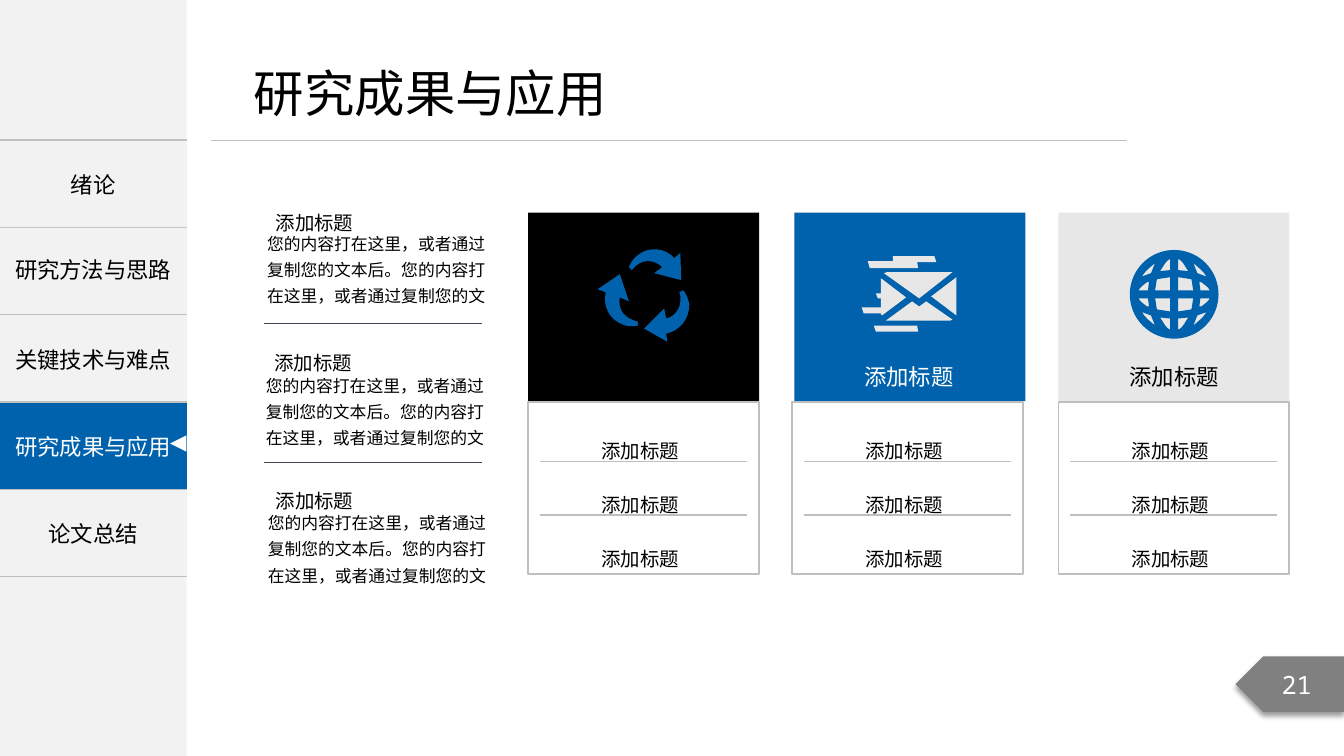
from math import cos, pi, sin

from lxml.etree import SubElement
from pptx import Presentation
from pptx.dml.color import RGBColor
from pptx.enum.shapes import MSO_CONNECTOR as LINK, MSO_SHAPE as SHAPE
from pptx.enum.text import MSO_ANCHOR as ANCHOR, MSO_AUTO_SIZE as FIT, PP_ALIGN as ALIGN
from pptx.oxml import parse_xml
from pptx.oxml.ns import nsdecls, qn
from pptx.util import Cm, Pt

BLUE, GREY, PALE, RULE = "0062AC", "F2F2F2", "E7E7E7", "BFBFBF"
BLACK, WHITE, DARK = "000000", "FFFFFF", "414455"
SANS = "Noto Sans CJK SC"
LABEL = "添加标题"
BODY = "您的内容打在这里，或者通过复制您的文本后。您的内容打在这里，或者通过复制您的文"
color = RGBColor.from_string

deck = Presentation()
deck.slide_width, deck.slide_height = Cm(33.87), Cm(19.05)
page = deck.slides.add_slide(deck.slide_layouts[6])
shapes = page.shapes


def write(frame, text, size, ink=BLACK, align=ALIGN.CENTER, face=SANS, lowered=False, spacing=None):
    para = frame.paragraphs[0]
    para.alignment = align
    para.line_spacing = spacing
    span = para.add_run()
    span.text = text
    span.font.color.rgb = color(ink)
    for name, value in {"size": Pt(size), "name": face, "bold": False}.items():
        setattr(span.font, name, value)
    props = span.font._element
    SubElement(props, qn("a:ea"), typeface=face)
    if lowered:
        props.set("baseline", "-3000")


def draw_icon(contours, ink):
    """Contours in hundredths of an inch: (x, y) is a line, six numbers are a Bezier curve."""
    unit, builder = Cm(2.54) / 100, None
    for contour in contours:
        points = [contour[0]]
        for step in contour[1:]:
            if len(step) == 2:
                points.append(step)
                continue
            nodes = [points[-1], step[:2], step[2:4], step[4:]]
            for t in [i / 8 for i in range(1, 9)]:
                weights = (1 - t) ** 3, 3 * t * (1 - t) ** 2, 3 * t * t * (1 - t), t ** 3
                points.append(tuple(sum(w * n[axis] for w, n in zip(weights, nodes))
                                    for axis in (0, 1)))
        points = [(round(x * unit), round(y * unit)) for x, y in points]
        if builder is None:
            builder = shapes.build_freeform(*points[0])
        else:
            builder.move_to(*points[0])
        builder.add_line_segments(points[1:], close=True)
    icon = builder.convert_to_shape()
    icon.shadow.inherit = False
    icon.fill.solid()
    icon.fill.fore_color.rgb = color(ink)
    icon.line.fill.background()


# Sidebar background
sidebar = shapes.add_shape(SHAPE.RECTANGLE, 0, 0, Cm(4.7), Cm(19.05))

# Chapter table
chapters = ["绪论", "", "关键技术与难点", "研究成果与应用", "论文总结"]
menu = shapes.add_table(5, 1, 0, Cm(3.53), Cm(4.7), Cm(11)).table
menu.first_row = menu.horz_banding = False
for row, chapter in enumerate(chapters):
    cell = menu.cell(row, 0)
    active = row == 3
    cell.vertical_anchor = ANCHOR.MIDDLE
    for side in "LRTB":
        edge = SubElement(cell._tc.get_or_add_tcPr(), qn(f"a:ln{side}"), w=str(Pt(1)))
        if side in "LR":
            SubElement(edge, qn("a:noFill"))
        else:
            SubElement(SubElement(edge, qn("a:solidFill")), qn("a:srgbClr"), val=RULE)
    cell.fill.solid()
    cell.fill.fore_color.rgb = color(BLUE if active else GREY)
    if chapter:
        write(cell.text_frame, chapter, 16, WHITE if active else BLACK)

# Filled shapes: second chapter, page number, active marker, card heads
chapter_two = shapes.add_shape(SHAPE.RECTANGLE, 0, Cm(5.74), Cm(4.7), Cm(2.13))
write(chapter_two.text_frame, "研究方法与思路", 16)
page_tag = shapes.add_shape(SHAPE.PENTAGON, Cm(31.14), Cm(16.54), Cm(2.73), Cm(1.4))
page_tag._element.spPr.find(qn("a:xfrm")).set("flipH", "1")
write(page_tag.text_frame, "21", 18, WHITE, face="Noto Sans Mono")
marker = shapes.add_shape(SHAPE.ISOSCELES_TRIANGLE, Cm(4.29), Cm(10.97), Cm(0.41), Cm(0.41))
marker.rotation = 270
heads = [shapes.add_shape(SHAPE.RECTANGLE, Cm(left), Cm(5.36), Cm(5.82), Cm(4.75))
         for left in (13.31, 20.02, 26.67)]
fills = [GREY, GREY, "808080", WHITE, BLACK, BLUE, PALE]
for shape, fill in zip([sidebar, chapter_two, page_tag, marker, *heads], fills):
    shape.shadow.inherit = False
    shape.fill.solid()
    shape.fill.fore_color.rgb = color(fill)
    shape.line.fill.background()
    shape.text_frame.vertical_anchor = ANCHOR.MIDDLE
page_tag._element.spPr.find(qn("a:effectLst")).append(parse_xml(
    f'<a:outerShdw {nsdecls("a")} blurRad="{Pt(4)}" dist="{Pt(3)}" dir="5400000">'
    '<a:srgbClr val="000000"><a:alpha val="40000"/></a:srgbClr></a:outerShdw>'))

# Rules: left, right, y, colour, weight; texts: left, top, width, height, text, format
rules = [(5.31, 28.4, 3.53, RULE, 0.5)]
rules += [(6.65, 12.14, y, DARK, 1) for y in (8.15, 11.66)]
small = dict(size=24, lowered=True)
texts = [(6.15, 1.45, 9.5, 1.8, "研究成果与应用", dict(size=36, align=ALIGN.LEFT))]

# Left column of notes
for title_x, title_y, body_x, body_y in [(6.38, 4.8, 6.48, 5.61), (6.35, 8.33, 6.45, 9.19),
                                         (6.38, 11.81, 6.5, 12.65)]:
    texts.append((title_x, title_y, 3.1, 0.94, LABEL, small))
    texts.append((body_x, body_y, 6.1, 2.26, BODY, dict(size=12, align=ALIGN.LEFT, spacing=1.3)))

# Cards: head title, outlined list of three labels
head_formats = [small, dict(size=16, ink=WHITE), dict(size=16)]
for left, title_x, head_format in zip((13.31, 19.96, 26.67), (14.68, 21.36, 28.04), head_formats):
    texts.append((title_x, 9.02, 3.1, 0.94, LABEL, head_format))
    frame = shapes.add_shape(SHAPE.RECTANGLE, Cm(left), Cm(10.13), Cm(5.82), Cm(4.34))
    frame.shadow.inherit = False
    frame.fill.background()
    frame.line.color.rgb = color(RULE)
    frame.line.width = Pt(1)
    for row in range(3):
        texts.append((left + 1.28, 10.57 + 1.35 * row, 3.1, 0.94, LABEL, small))
        if row < 2:
            rules.append((left + 0.3, left + 5.51, 11.63 + 1.35 * row, RULE, 1))

for start, end, y, ink, weight in rules:
    rule = shapes.add_connector(LINK.STRAIGHT, Cm(start), Cm(y), Cm(end), Cm(y))
    rule.line.color.rgb = color(ink)
    rule.line.width = Pt(weight)
    SubElement(rule._element.spPr, qn("a:effectLst"))

for left, top, width, height, text, style in texts:
    box = shapes.add_textbox(Cm(left), Cm(top), Cm(width), Cm(height))
    box.text_frame.word_wrap = style["size"] != 36
    box.text_frame.auto_size = FIT.SHAPE_TO_FIT_TEXT
    write(box.text_frame, text, **style)

# Recycling arrows
draw_icon([
    [(662, 339), (639, 326), (659, 306), (661, 316), (670, 314, 676, 305, 675, 296),
     (675, 294, 675, 291, 674, 290), (678, 288), (681, 292, 683, 297, 684, 302),
     (684, 316, 675, 328, 661, 331)],
    [(593, 287), (615, 272), (624, 299), (615, 295), (613, 305, 618, 314, 627, 317),
     (629, 318, 631, 319, 633, 319), (633, 323), (628, 324, 622, 324, 618, 322),
     (604, 317, 598, 303, 601, 290)],
    [(675, 251), (669, 256), (660, 246, 644, 244, 633, 253), (629, 256, 626, 260, 624, 265),
     (627, 268), (629, 266, 630, 264, 632, 263), (639, 257, 650, 258, 657, 265),
     (649, 271), (676, 278)],
], BLUE)

# Flying envelope
draw_icon([
    [(880, 270), (945, 270), (912, 296), (877, 271)],
    [(869, 291), (871, 296), (874, 296), (874, 305), (855, 305), (857, 311), (874, 311),
     (875, 313), (899, 295), (874, 276), (874, 291)],
    [(867, 323), (910, 323), (911, 329), (869, 329)],
    [(886, 254), (927, 254), (929, 260), (910, 260), (911, 266), (863, 266), (861, 259),
     (886, 259)],
    [(949, 275), (924, 294), (949, 313)],
    [(945, 317), (943, 318), (879, 318), (905, 299), (912, 304), (919, 299)],
], PALE)

# Globe: a disc with the panes of one quarter mirrored four ways
panes = [
    [(4, -35), (4, -24), (14, -23), (12, -26), (9, -31, 7, -34, 4, -35)],
    [(4, -17), (4, -4), (19, -4), (18, -8, 18, -12, 17, -15)],
    [(26, -4), (35, -4), (35, -6, 31, -9, 27, -12), (25, -12)],
    [(23, -21), (31, -18), (32, -17), (31, -20, 28, -23, 26, -25), (19, -31), (21, -26)],
]
mid_x, mid_y, radius = 1165, 292, 44
globe = [[(mid_x + radius * cos(pi * i / 36), mid_y + radius * sin(pi * i / 36))
          for i in range(72)]]
for flip_x in (1, -1):
    for flip_y in (1, -1):
        for pane in panes:
            globe.append([tuple(mid_y + flip_y * v if i % 2 else mid_x + flip_x * v
                                for i, v in enumerate(step)) for step in pane])
draw_icon(globe, BLUE)

deck.save("out.pptx")
